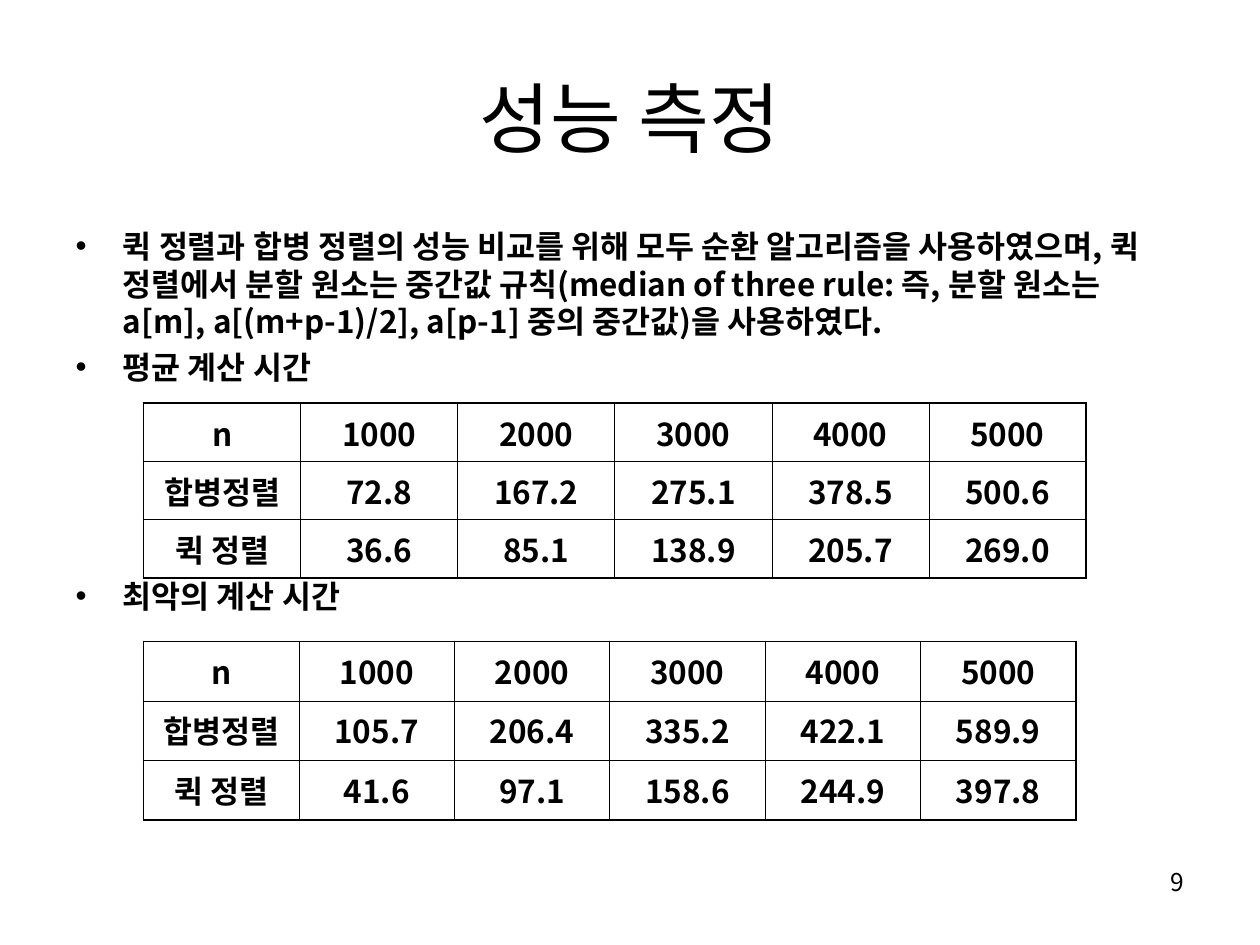
from dataclasses import dataclass

from lxml.etree import SubElement
from pptx import Presentation
from pptx.dml.color import RGBColor
from pptx.enum.text import MSO_ANCHOR, MSO_AUTO_SIZE, PP_ALIGN as Align
from pptx.oxml.ns import qn
from pptx.util import Inches, Pt


@dataclass(frozen=True)
class Theme:
    """Colours, font and type sizes of the slide."""
    font: str = "Noto Sans CJK KR"
    ink: str = "000000"
    title: float = 44
    text: float = 18
    number: float = 14
    space: float = 4.5
    thick: float = 1.08
    thin: float = 0.45


@dataclass(frozen=True)
class Box:
    """A place on the slide, in inches."""
    left: float
    top: float
    width: float
    height: float

    def emu(self) -> tuple:
        """Return left, top, width and height as lengths."""
        return tuple(Inches(v) for v in (self.left, self.top, self.width, self.height))


@dataclass(frozen=True)
class Timing:
    """Running times of both sorts for each input size."""
    box: Box
    merge: tuple
    quick: tuple


@dataclass(frozen=True)
class Bullet:
    """A list item and the space above it in points."""
    text: str
    space: float


THEME = Theme()
SIZES = ("1000", "2000", "3000", "4000", "5000")
TABLE_GAP = 109
BULLETS = (
    Bullet("퀵 정렬과 합병 정렬의 성능 비교를 위해 모두 순환 알고리즘을 사용하였으며, "
           "퀵 정렬에서 분할 원소는 중간값 규칙(median of three rule: 즉, 분할 원소는 "
           "a[m], a[(m+p-1)/2], a[p-1] 중의 중간값)을 사용하였다.", THEME.space),
    Bullet("평균 계산 시간", THEME.space),
    Bullet("최악의 계산 시간", TABLE_GAP),
)
TIMINGS = (
    Timing(Box(1.14, 3.2, 7.48, 1.2),
           ("72.8", "167.2", "275.1", "378.5", "500.6"),
           ("36.6", "85.1", "138.9", "205.7", "269.0")),
    Timing(Box(1.14, 5.09, 7.4, 1.42),
           ("105.7", "206.4", "335.2", "422.1", "589.9"),
           ("41.6", "97.1", "158.6", "244.9", "397.8")),
)


def write(p, text: str, size: float, align: Align, bold: bool = False) -> None:
    """Fill a paragraph and set its font for Latin and Korean text."""
    p.text = text
    p.alignment = align
    p.font.size = Pt(size)
    p.font.bold = bold
    p.font.name = THEME.font
    p.font.color.rgb = RGBColor.from_string(THEME.ink)
    latin = p._p.pPr.find(qn("a:defRPr")).find(qn("a:latin"))
    ea = latin.makeelement(qn("a:ea"), {"typeface": THEME.font})
    latin.addnext(ea)


def place(s, box: Box) -> None:
    """Move a placeholder and keep its text at full size."""
    s.left, s.top, s.width, s.height = box.emu()
    s.text_frame.auto_size = MSO_AUTO_SIZE.NONE


def add_border(cell, side: str, width: float) -> None:
    """Draw one side of a cell."""
    tag = qn(f"a:ln{side}")
    ln = SubElement(cell._tc.get_or_add_tcPr(), tag, w=str(Pt(width)))
    fill = SubElement(ln, qn("a:solidFill"))
    SubElement(fill, qn("a:srgbClr"), val=THEME.ink)


def add_timing(slide, timing: Timing) -> None:
    """Add a table with a thick frame and thin inner lines."""
    rows = (("n", *SIZES), ("합병정렬", *timing.merge), ("퀵 정렬", *timing.quick))
    last_row, last_col = len(rows) - 1, len(SIZES)
    table = slide.shapes.add_table(len(rows), last_col + 1, *timing.box.emu()).table
    table.first_row = table.horz_banding = False
    for i, row in enumerate(rows):
        for j, text in enumerate(row):
            cell = table.cell(i, j)
            p = cell.text_frame.paragraphs[0]
            write(p, text, THEME.text, Align.CENTER, bold=True)
            p.space_before = Pt(THEME.space)
            edges = {"L": j == 0, "R": j == last_col, "T": i == 0, "B": i == last_row}
            for side, outer in edges.items():
                add_border(cell, side, THEME.thick if outer else THEME.thin)
            cell.fill.background()


def add_bullets(body) -> None:
    """Write the list in the body placeholder."""
    tf = body.text_frame
    for i, bullet in enumerate(BULLETS):
        p = tf.add_paragraph() if i else tf.paragraphs[0]
        write(p, bullet.text, THEME.text, Align.LEFT, bold=True)
        p.space_before = Pt(bullet.space)


def main() -> None:
    """Build and save the slide."""
    prs = Presentation()
    prs.slide_width, prs.slide_height = Inches(10), Inches(7.5)
    slide = prs.slides.add_slide(prs.slide_layouts[1])

    title, body = slide.placeholders
    place(title, Box(0.5, 0.3, 9, 1.25))
    title.text_frame.vertical_anchor = MSO_ANCHOR.MIDDLE
    write(title.text_frame.paragraphs[0], "성능 측정", THEME.title, Align.CENTER)
    place(body, Box(0.5, 1.75, 8.91, 4.95))
    add_bullets(body)

    for timing in TIMINGS:
        add_timing(slide, timing)

    number = slide.shapes.add_textbox(*Box(7.17, 6.83, 2.33, 0.52).emu())
    number.text_frame.word_wrap = True
    write(number.text_frame.paragraphs[0], "9", THEME.number, Align.RIGHT)

    prs.save("out.pptx")


if __name__ == "__main__":
    main()
